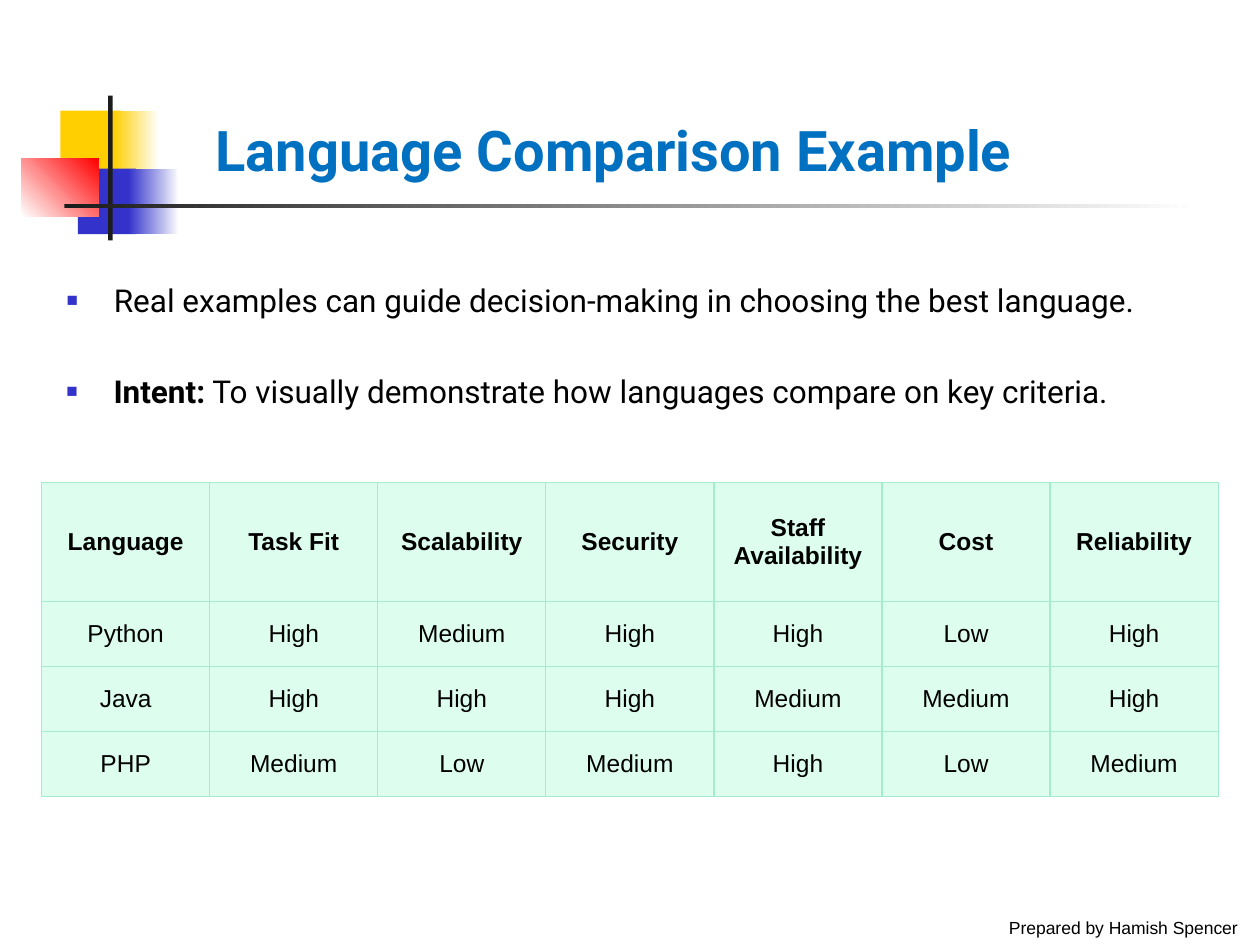
from lxml import etree
from pptx import Presentation
from pptx.dml.color import RGBColor
from pptx.enum.shapes import MSO_SHAPE
from pptx.enum.text import MSO_ANCHOR, MSO_AUTO_SIZE, PP_ALIGN
from pptx.oxml.ns import qn
from pptx.util import Cm, Pt

RECTANGLE = MSO_SHAPE.RECTANGLE
LEFT, CENTER = PP_ALIGN.LEFT, PP_ALIGN.CENTER
TOP, MIDDLE, BOTTOM = MSO_ANCHOR.TOP, MSO_ANCHOR.MIDDLE, MSO_ANCHOR.BOTTOM
NO_AUTOFIT = MSO_AUTO_SIZE.NONE

WHITE = RGBColor(0xFF, 0xFF, 0xFF)
BLACK = RGBColor(0x00, 0x00, 0x00)
YELLOW = RGBColor(0xFF, 0xCF, 0x01)
RED = RGBColor(0xFF, 0x00, 0x00)
INDIGO = RGBColor(0x33, 0x33, 0xCC)
CHARCOAL = RGBColor(0x1C, 0x1C, 0x1C)
TITLE_BLUE = RGBColor(0x00, 0x70, 0xC0)
MINT = RGBColor(0xDD, 0xFE, 0xEF)
MINT_BORDER = RGBColor(0xA5, 0xEB, 0xCD)

TITLE_FONT = {"name": "Roboto", "size": Pt(32), "bold": True}
BODY_FONT = {"name": "Roboto", "size": Pt(18)}
TABLE_FONT = {"name": "Arial", "size": Pt(14)}
FOOTER_FONT = {"name": "Arial", "size": Pt(10), "bold": False}

# Left, top, width, height in cm, then one colour or (start, end, angle)
ORNAMENTS = [
    (1.22, 2.23, 1.22, 1.32, YELLOW),
    (2.29, 2.23, 0.91, 1.32, (YELLOW, WHITE, 0)),
    (1.57, 3.40, 1.17, 1.32, INDIGO),
    (2.59, 3.40, 1.02, 1.32, (INDIGO, WHITE, 0)),
    (0.43, 3.19, 1.55, 1.17, (WHITE, RED, 45)),
    (2.18, 1.93, 0.09, 2.92, CHARCOAL),
    (1.30, 4.11, 22.86, 0.09, (CHARCOAL, WHITE, 0)),
]

COMPARISON = [
    ["Language", "Task Fit", "Scalability", "Security",
     "Staff Availability", "Cost", "Reliability"],
    ["Python", "High", "Medium", "High", "High", "Low", "High"],
    ["Java", "High", "High", "High", "Medium", "Medium", "High"],
    ["PHP", "Medium", "Low", "Medium", "High", "Low", "Medium"],
]


def set_values(target, values):
    for name, value in values.items():
        setattr(target, name, value)


def place(box, left, top, width, height):
    set_values(box, {"left": Cm(left), "top": Cm(top),
                     "width": Cm(width), "height": Cm(height)})


def write(para, text, font, color=BLACK, bold=None):
    span = para.add_run()
    span.text = text
    set_values(span.font, font)
    span.font.color.rgb = color
    if bold is not None:
        span.font.bold = bold


def add_ornament(page, left, top, width, height, paint):
    block = page.shapes.add_shape(RECTANGLE, Cm(left), Cm(top), Cm(width), Cm(height))
    block.shadow.inherit = False
    block.line.fill.background()
    if isinstance(paint, RGBColor):
        block.fill.solid()
        block.fill.fore_color.rgb = paint
        return
    start, end, angle = paint
    block.fill.gradient()
    block.fill.gradient_angle = angle
    for stop, color in zip(block.fill.gradient_stops, (start, end)):
        stop.color.rgb = color


def add_bullet(para):
    properties = para._p.get_or_add_pPr()
    properties.set("marL", str(Cm(0.95)))
    properties.set("indent", str(-Cm(0.95)))
    color = etree.SubElement(properties, qn("a:buClr"))
    etree.SubElement(color, qn("a:srgbClr"), val=str(INDIGO))
    etree.SubElement(properties, qn("a:buSzPct"), val="60000")
    etree.SubElement(properties, qn("a:buFont"), typeface="Arial")
    etree.SubElement(properties, qn("a:buChar"), char="■")


def fill_bullet_box(box, spans):
    set_values(box.text_frame, {"word_wrap": True, "auto_size": NO_AUTOFIT,
                                "vertical_anchor": TOP})
    para = box.text_frame.paragraphs[0]
    add_bullet(para)
    set_values(para, {"alignment": LEFT, "space_before": Pt(0)})
    for text, bold in spans:
        write(para, text, BODY_FONT, bold=bold)


def add_borders(cell):
    properties = cell._tc.get_or_add_tcPr()
    for position, side in enumerate(("a:lnL", "a:lnR", "a:lnT", "a:lnB")):
        line = etree.Element(qn(side), w=str(Pt(0.75)))
        fill = etree.SubElement(line, qn("a:solidFill"))
        etree.SubElement(fill, qn("a:srgbClr"), val=str(MINT_BORDER))
        properties.insert(position, line)


def add_comparison_table(page):
    heights = [2.39, 1.31, 1.31, 1.31]
    columns = len(COMPARISON[0])
    frame = page.shapes.add_table(len(COMPARISON), columns, Cm(0.84), Cm(9.73),
                                  Cm(23.72), Cm(sum(heights)))
    table = frame.table
    for row, height in zip(table.rows, heights):
        row.height = Cm(height)
    for row_index, labels in enumerate(COMPARISON):
        for column_index, label in enumerate(labels):
            cell = table.cell(row_index, column_index)
            cell.vertical_anchor = MIDDLE
            cell.fill.solid()
            cell.fill.fore_color.rgb = MINT
            add_borders(cell)
            para = cell.text_frame.paragraphs[0]
            para.alignment = CENTER
            write(para, label, TABLE_FONT, bold=row_index == 0)


def main():
    deck = Presentation()
    deck.slide_width, deck.slide_height = Cm(25.4), Cm(19.05)
    page = deck.slides.add_slide(deck.slide_layouts[1])
    title, body = page.placeholders

    # Corner ornament and rule under the title
    for ornament in ORNAMENTS:
        add_ornament(page, *ornament)

    # Footer credit
    footer = page.shapes.add_textbox(Cm(20.09), Cm(18.36), Cm(5.31), Cm(0.69))
    footer.text_frame.word_wrap = False
    write(footer.text_frame.paragraphs[0], "Prepared by Hamish Spencer", FOOTER_FONT)

    # Title
    place(title, 4.09, 1.19, 20.80, 2.62)
    set_values(title.text_frame, {"vertical_anchor": BOTTOM, "auto_size": NO_AUTOFIT})
    heading = title.text_frame.paragraphs[0]
    heading.alignment = LEFT
    write(heading, "Language Comparison Example", TITLE_FONT, TITLE_BLUE)

    # Bulleted statements
    place(body, 1.09, 5.54, 23.19, 1.60)
    fill_bullet_box(body, [("Real examples can guide decision-making in "
                            "choosing the best language.", False)])
    intent = page.shapes.add_textbox(Cm(1.09), Cm(7.37), Cm(23.19), Cm(0.99))
    fill_bullet_box(intent, [
        ("Intent:", True),
        (" To visually demonstrate how languages compare on key criteria.", False),
    ])

    # Language ratings
    add_comparison_table(page)
    deck.save("out.pptx")


if __name__ == "__main__":
    main()
